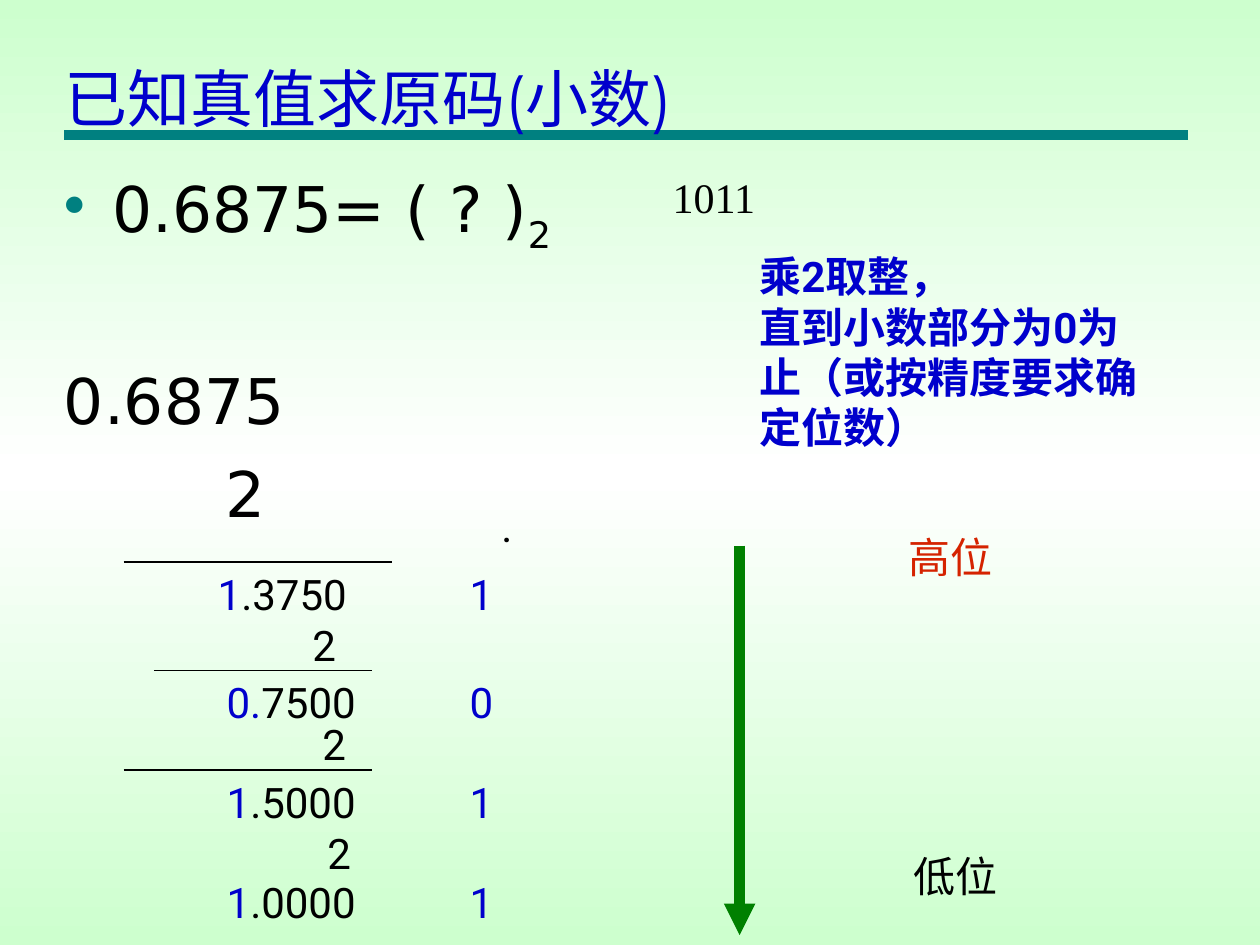
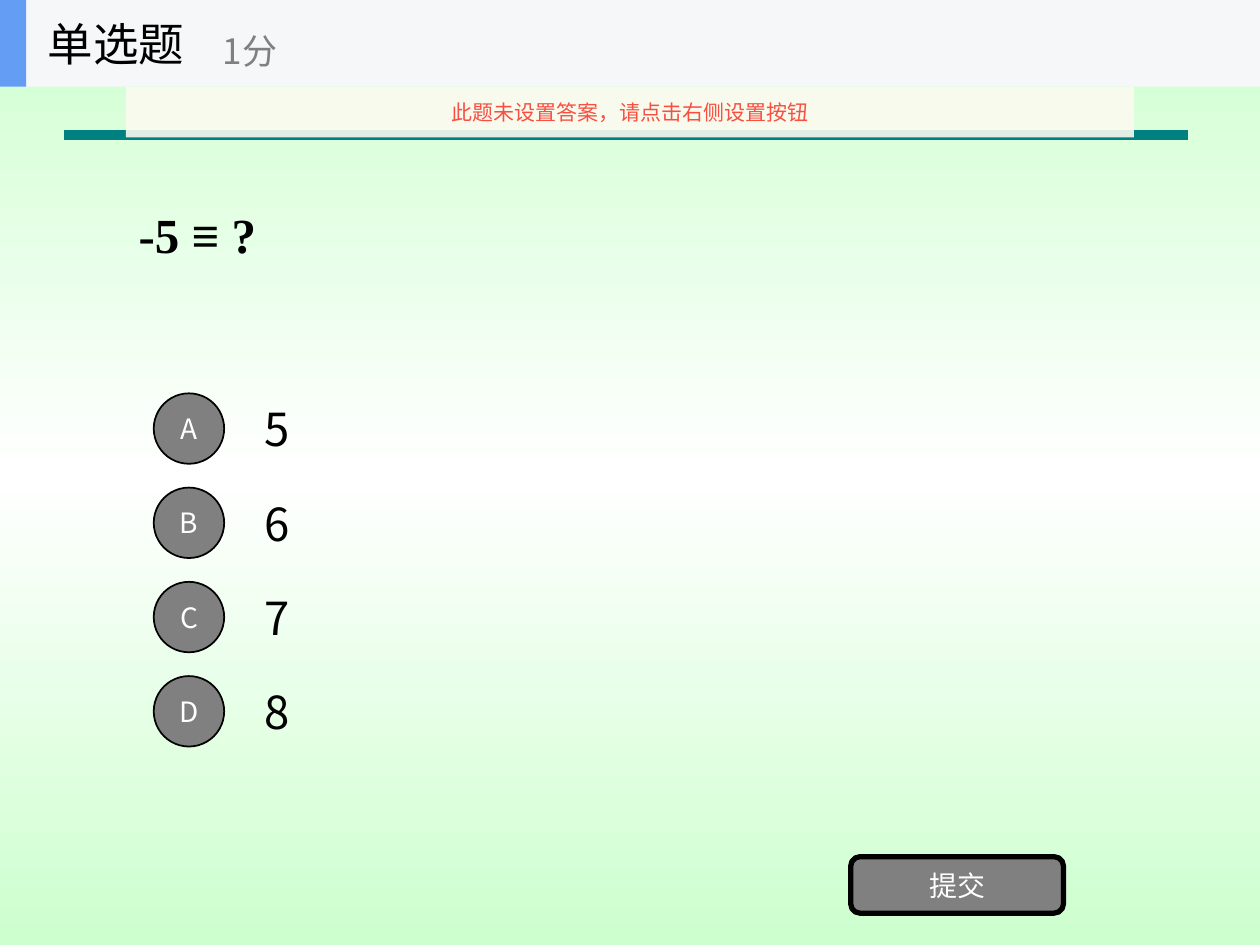
import copy
from dataclasses import dataclass

import pptx
import pptx.dml.color
import pptx.enum.dml
import pptx.enum.shapes
import pptx.enum.text
import pptx.oxml
import pptx.oxml.ns
import pptx.util
from lxml import etree

Cm = pptx.util.Cm
Pt = pptx.util.Pt
qn = pptx.oxml.ns.qn
Shape = pptx.enum.shapes.MSO_SHAPE
Align = pptx.enum.text.PP_ALIGN
Anchor = pptx.enum.text.MSO_ANCHOR


@dataclass(frozen=True)
class Theme:
    mint: str = "CDFFCE"
    white: str = "FFFFFF"
    black: str = "000000"
    teal: str = "008080"
    blue: str = "0000CC"
    green: str = "008000"
    red: str = "D52300"
    grey: str = "808080"
    header: str = "F6F7F8"
    accent: str = "639EF4"
    cream: str = "FBFAEF"
    warning: str = "F84F41"
    title_font: str = "Montserrat"
    body_font: str = "DejaVu Sans"
    note_font: str = "Roboto"
    serif_font: str = "Times New Roman"
    quiz_font: str = "Noto Sans CJK SC"
    large: int = 36
    question: int = 28
    option: int = 26
    note: int = 24
    score: int = 20
    button: int = 16
    tip: int = 12


def rgb(color):
    return pptx.dml.color.RGBColor.from_string(color)


def write(frame, text, *, font, size, color=Theme.black, bold=False, align=Align.LEFT,
          anchor=Anchor.TOP, wrap=True, before=0, hanging=0, indent=0, bullet=None, tab=None):
    frame.word_wrap = wrap
    frame.auto_size = pptx.enum.text.MSO_AUTO_SIZE.NONE
    frame.vertical_anchor = anchor
    paragraphs = text if isinstance(text, list) else [text]
    for index, spans in enumerate(paragraphs):
        para = frame.paragraphs[0] if index == 0 else frame.add_paragraph()
        para.alignment = align
        if index:
            para.space_before = Pt(before)
        properties = para._p.get_or_add_pPr()
        if hanging:
            properties.set("marL", str(Cm(hanging)))
            properties.set("indent", str(-Cm(hanging)))
        elif indent and index:
            properties.set("marL", str(Cm(indent)))
        if bullet:
            bullet_color = etree.SubElement(properties, qn("a:buClr"))
            etree.SubElement(bullet_color, qn("a:srgbClr"), val=bullet)
            etree.SubElement(properties, qn("a:buChar"), char="•")
        if tab:
            tabs = etree.SubElement(properties, qn("a:tabLst"))
            etree.SubElement(tabs, qn("a:tab"), pos=str(Cm(tab)), algn="l")
        for words, changes in ([(spans, {})] if isinstance(spans, str) else spans):
            span = para.add_run()
            span.text = words
            span.font.name = font
            span.font.size = Pt(size)
            span.font.bold = bold
            span.font.color.rgb = rgb(changes.get("color", color))
            east_asian = etree.Element(qn("a:ea"), typeface=font)
            span.font._element.find(qn("a:latin")).addnext(east_asian)
            if "baseline" in changes:
                span.font._element.set("baseline", str(changes["baseline"]))


class Painter:
    def __init__(self, deck, theme):
        self.deck = deck
        self.theme = theme
        self.page = None
        self.paint_background()

    def paint_background(self):
        master = self.deck.slide_master
        fill = master.background.fill
        fill.gradient()
        fill.gradient_angle = 90
        stops = master.element.find(".//" + qn("a:gsLst"))
        stops.insert(1, copy.deepcopy(stops[0]))
        colors = (self.theme.mint, self.theme.white, self.theme.mint)
        for stop, color, position in zip(fill.gradient_stops, colors, (0, 0.5, 1)):
            stop.color.rgb = rgb(color)
            stop.position = position

    def new_page(self):
        self.page = self.deck.slides.add_slide(self.deck.slide_layouts[5])
        self.line(1.3, 2.72, 23.95, 2.72, self.theme.teal, 6)

    def title(self, text, left, top, width, height, bottom_inset=0.13, **style):
        box = self.page.shapes.title
        box.left, box.top, box.width, box.height = map(Cm, (left, top, width, height))
        box.text_frame.margin_bottom = Cm(bottom_inset)
        write(box.text_frame, text, **style)
        self.page.shapes._spTree.append(box._element)

    def text(self, text, left, top, width, height=1.27, **style):
        box = self.page.shapes.add_textbox(Cm(left), Cm(top), Cm(width), Cm(height))
        write(box.text_frame, text, **style)

    def note(self, text, left, top, width, height=1.27, **style):
        style = {"font": self.theme.note_font, "size": self.theme.note, **style}
        self.text(text, left, top, width, height, **style)

    def quiz_text(self, text, left, top, width, height, size, **style):
        self.text(text, left, top, width, height, font=self.theme.quiz_font, size=size,
                  anchor=Anchor.MIDDLE, **style)

    def line(self, x1, y1, x2, y2, color, weight, arrow=False):
        line = self.page.shapes.add_connector(
            pptx.enum.shapes.MSO_CONNECTOR.STRAIGHT, Cm(x1), Cm(y1), Cm(x2), Cm(y2))
        line.line.color.rgb = rgb(color)
        line.line.width = Pt(weight)
        if arrow:
            etree.SubElement(line.line._get_or_add_ln(), qn("a:tailEnd"), type="triangle")
        etree.SubElement(line._element.spPr, qn("a:effectLst"))

    def shape(self, kind, left, top, width, height, fill, outline=0, text=None, opacity=None,
              size=None, color=None):
        shape = self.page.shapes.add_shape(kind, Cm(left), Cm(top), Cm(width), Cm(height))
        shape.shadow.inherit = False
        shape.fill.solid()
        shape.fill.fore_color.rgb = rgb(fill)
        if opacity:
            fill_color = shape._element.spPr.find(qn("a:solidFill"))[0]
            etree.SubElement(fill_color, qn("a:alpha"), val=str(opacity * 1000))
        if outline:
            shape.line.color.rgb = rgb(self.theme.black)
            shape.line.width = Pt(outline)
        else:
            shape.line.fill.background()
        if text:
            write(shape.text_frame, text, font=self.theme.quiz_font,
                  size=size or self.theme.button, color=color or self.theme.white,
                  align=Align.CENTER, anchor=Anchor.MIDDLE, wrap=False)


def build_fraction_page(painter):
    theme = painter.theme
    painter.new_page()
    painter.title("已知真值求原码(小数)", 1.04, 0.43, 22.8, 2.34, bottom_inset=0.05,
                  font=theme.title_font, size=theme.large, color=theme.blue,
                  anchor=Anchor.BOTTOM)
    body = {"font": theme.body_font, "size": theme.large}
    painter.text([[("0.6875= ( ? )", {}), ("2", {"baseline": -25000})]],
                 1.04, 3.3, 11.5, 1.8, hanging=0.97, bullet=theme.teal, **body)
    painter.text(["0.6875", "2"], 1.04, 7.16, 8, 3.6, before=10, indent=3.25, **body)

    for start, end, height in ((2.49, 7.9, 11.33), (3.1, 7.49, 13.51), (2.49, 7.49, 15.52)):
        painter.line(start, height, end, height, theme.black, 0.75)

    digit_column = 9.47
    products = ((4.14, 11.33, "1", ".3750", "1"), (4.32, 13.51, "0.", "7500", "0"),
                (4.32, 15.52, "1", ".5000", "1"), (4.32, 17.55, "1", ".0000", "1"))
    blue = {"color": theme.blue}
    for left, top, whole, fraction, digit in products:
        painter.note([[(whole, blue), (fraction + "\t", {}), (digit, blue)]],
                     left, top, 6.4, tab=digit_column - left - 0.25)
    for left, top in ((6.05, 12.37), (6.25, 14.35), (6.35, 16.56)):
        painter.note("2", left, top, 1.2)
    painter.note(".", 9.86, 9.96, 1)

    painter.note(["乘2取整，", "直到小数部分为0为止（或按精度要求确定位数）"],
                 15.06, 4.93, 8.2, 4.32, color=theme.blue, bold=True)
    painter.line(14.91, 11, 14.91, 18.85, theme.green, 6, arrow=True)
    painter.note("低位", 18.16, 17.02, 2.4)
    painter.note("高位", 18.06, 10.59, 2.4, color=theme.red)
    painter.note("1011", 13.31, 3.33, 2.6, font=theme.serif_font)


def build_quiz_page(painter):
    theme = painter.theme
    painter.new_page()
    painter.title("-5 ≡ ?", 2.54, 1.75, 20.32, 5.94, font=theme.serif_font,
                  size=theme.question, bold=True, anchor=Anchor.MIDDLE)
    first_top, pitch, option_height, circle = 7.75, 1.9, 1.78, 1.42
    for index, (letter, answer) in enumerate(zip("ABCD", "5678")):
        top = first_top + index * pitch
        painter.quiz_text(answer, 5.08, top, 17.78, option_height, theme.option)
        painter.shape(Shape.OVAL, 3.1, top + (option_height - circle) / 2, circle, circle,
                      theme.grey, outline=1, text=letter)
    painter.shape(Shape.ROUNDED_RECTANGLE, 17.15, 17.27, 4.29, 1.14, theme.grey,
                  outline=3, text="提交")
    header_height = 1.75
    painter.shape(Shape.RECTANGLE, 0, 0, 25.4, header_height, theme.header)
    painter.shape(Shape.RECTANGLE, 0, 0, 0.53, header_height, theme.accent)
    painter.quiz_text("单选题", 0.71, 0, 5.28, header_height, theme.option, wrap=False)
    painter.quiz_text("1分", 4.24, 0.3, 6.35, 1.42, theme.score, color=theme.grey, wrap=False)
    painter.shape(Shape.RECTANGLE, 2.54, header_height, 20.32, 1.02, theme.cream,
                  text="此题未设置答案，请点击右侧设置按钮", opacity=90,
                  size=theme.tip, color=theme.warning)


def main():
    deck = pptx.Presentation()
    deck.slide_width, deck.slide_height = Cm(25.4), Cm(19.05)
    painter = Painter(deck, Theme())
    build_fraction_page(painter)
    build_quiz_page(painter)
    deck.save("out.pptx")


if __name__ == "__main__":
    main()
